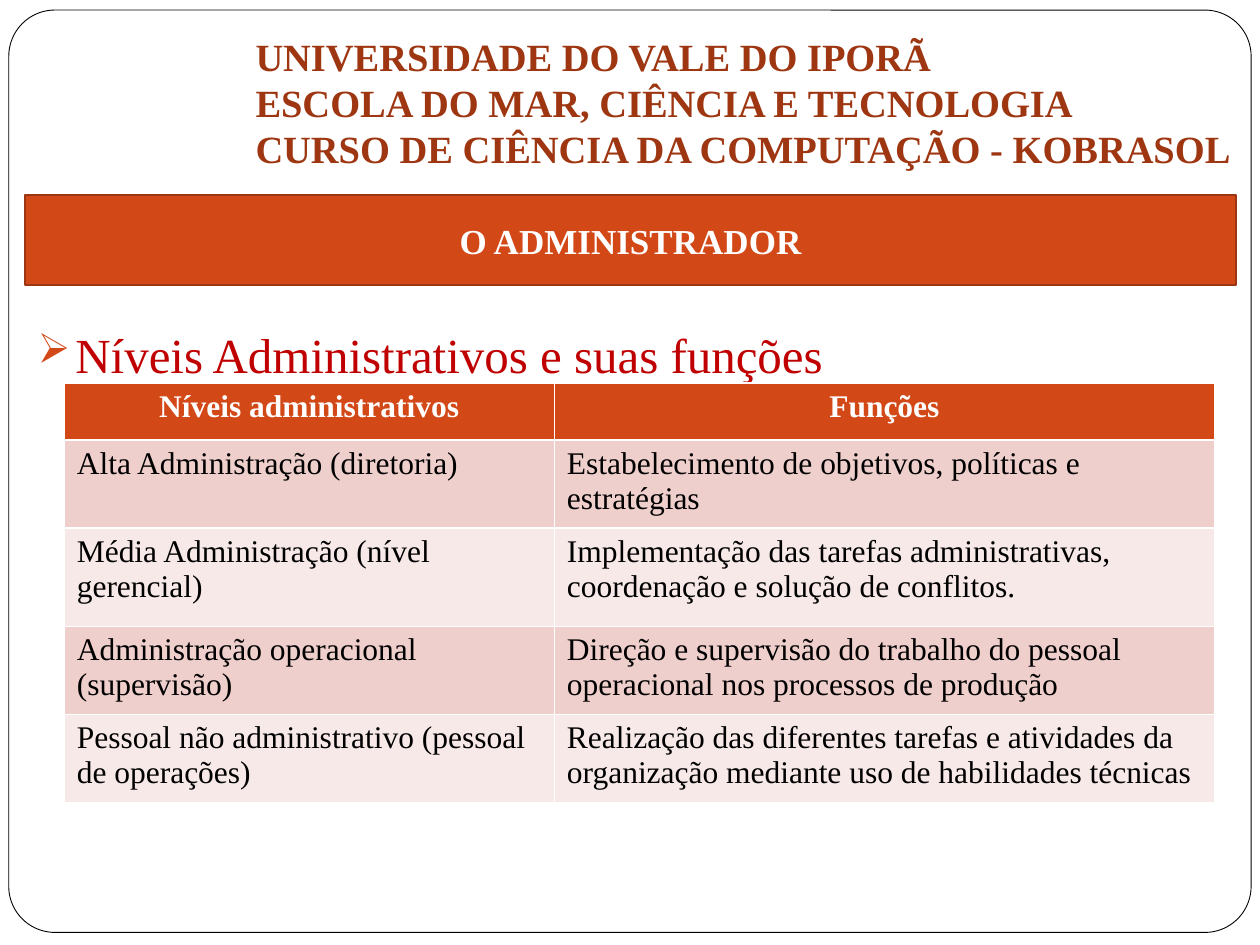
"""Build the slide on administrative levels and their functions."""
from lxml import etree
from pptx import Presentation
from pptx.dml.color import RGBColor
from pptx.enum.shapes import MSO_SHAPE
from pptx.enum.text import MSO_ANCHOR, MSO_AUTO_SIZE, PP_ALIGN
from pptx.oxml.ns import qn
from pptx.util import Inches, Pt

FONT = "Times New Roman"
COLORS = {"white": "FFFFFF", "black": "000000", "orange": "D34817", "edge": "9C3511",
          "brown": "9E3611", "red": "C00000", "odd": "EFCFCC", "even": "F7E9E8"}
HEADER = ["UNIVERSIDADE DO VALE DO IPORÃ",
          "ESCOLA DO MAR, CIÊNCIA E TECNOLOGIA",
          "CURSO DE CIÊNCIA DA COMPUTAÇÃO - KOBRASOL"]
TITLE = "O ADMINISTRADOR"
TOPIC = "Níveis Administrativos e suas funções"
LEVELS = [
    ("Níveis administrativos", "Funções"),
    ("Alta Administração (diretoria)",
     "Estabelecimento de objetivos, políticas e estratégias"),
    ("Média Administração (nível gerencial)",
     "Implementação das tarefas administrativas, coordenação e solução de conflitos."),
    ("Administração operacional (supervisão)",
     "Direção e supervisão do trabalho do pessoal operacional nos processos de produção"),
    ("Pessoal não administrativo (pessoal de operações)",
     "Realização das diferentes tarefas e atividades da organização mediante uso de "
     "habilidades técnicas"),
]
COL_WIDTHS = [3.89, 5.24]
ROW_HEIGHTS = [0.45, 0.7, 0.78, 0.7, 0.7]


def rgb(name):
    return RGBColor.from_string(COLORS[name])


def box(*lengths):
    return [Inches(v) for v in lengths]


def paint(sp, fill, line, width):
    sp.fill.solid()
    sp.fill.fore_color.rgb = rgb(fill)
    sp.line.color.rgb = rgb(line)
    sp.line.width = Pt(width)


def write(tf, lines, size, color, bold=False, align=PP_ALIGN.LEFT):
    tf.text = "\n".join(lines)
    tf.word_wrap = True
    for p in tf.paragraphs:
        p.alignment = align
        for r in p.runs:
            r.font.name, r.font.size, r.font.bold = FONT, Pt(size), bold
            r.font.color.rgb = rgb(color)


def add_bullet(p, char, color, percent, indent):
    pPr = p._p.get_or_add_pPr()
    pPr.set("marL", str(Inches(indent)))
    pPr.set("indent", str(-Inches(indent)))
    clr = etree.SubElement(pPr, qn("a:buClr"))
    etree.SubElement(clr, qn("a:srgbClr"), val=COLORS[color])
    etree.SubElement(pPr, qn("a:buSzPct"), val=str(percent * 1000))
    etree.SubElement(pPr, qn("a:buChar"), char=char)


prs = Presentation()
prs.slide_width, prs.slide_height = box(10, 7.5)
slide = prs.slides.add_slide(prs.slide_layouts[5])
shapes = slide.shapes

frame = shapes.add_shape(MSO_SHAPE.ROUNDED_RECTANGLE, *box(0.07, 0.08, 9.86, 7.32))
frame.adjustments[0] = 0.05
frame.shadow.inherit = False
paint(frame, "white", "black", 0.5)
shapes.title._element.addprevious(frame._element)

title = shapes.title
title.left, title.top, title.width, title.height = box(0.2, 1.55, 9.61, 0.71)
paint(title, "orange", "edge", 1)
write(title.text_frame, [TITLE], 20, "white", True, PP_ALIGN.CENTER)
title.text_frame.vertical_anchor = MSO_ANCHOR.MIDDLE
title.text_frame.auto_size = MSO_AUTO_SIZE.NONE

topic = shapes.add_textbox(*box(0.2, 2.29, 9.61, 5))
write(topic.text_frame, [TOPIC], 28, "red", align=PP_ALIGN.JUSTIFY)
p = topic.text_frame.paragraphs[0]
p.line_spacing, p.space_before = 1.5, Pt(5.8)
add_bullet(p, "➢", "orange", 85, 0.3)

header = shapes.add_textbox(*box(1.93, 0.21, 8.07, 1.21))
write(header.text_frame, HEADER, 22, "brown", True)

table = shapes.add_table(len(LEVELS), len(COL_WIDTHS), *box(
    0.51, 3.04, sum(COL_WIDTHS), sum(ROW_HEIGHTS))).table
for col, width in zip(table.columns, COL_WIDTHS):
    col.width = Inches(width)
for i, (texts, height) in enumerate(zip(LEVELS, ROW_HEIGHTS)):
    table.rows[i].height = Inches(height)
    head = i == 0
    fill = "orange" if head else "odd" if i % 2 else "even"
    for cell, text in zip(table.rows[i].cells, texts):
        cell.fill.solid()
        cell.fill.fore_color.rgb = rgb(fill)
        write(cell.text_frame, [text], 18, "white" if head else "black", head,
              PP_ALIGN.CENTER if head else PP_ALIGN.LEFT)

prs.save("out.pptx")
